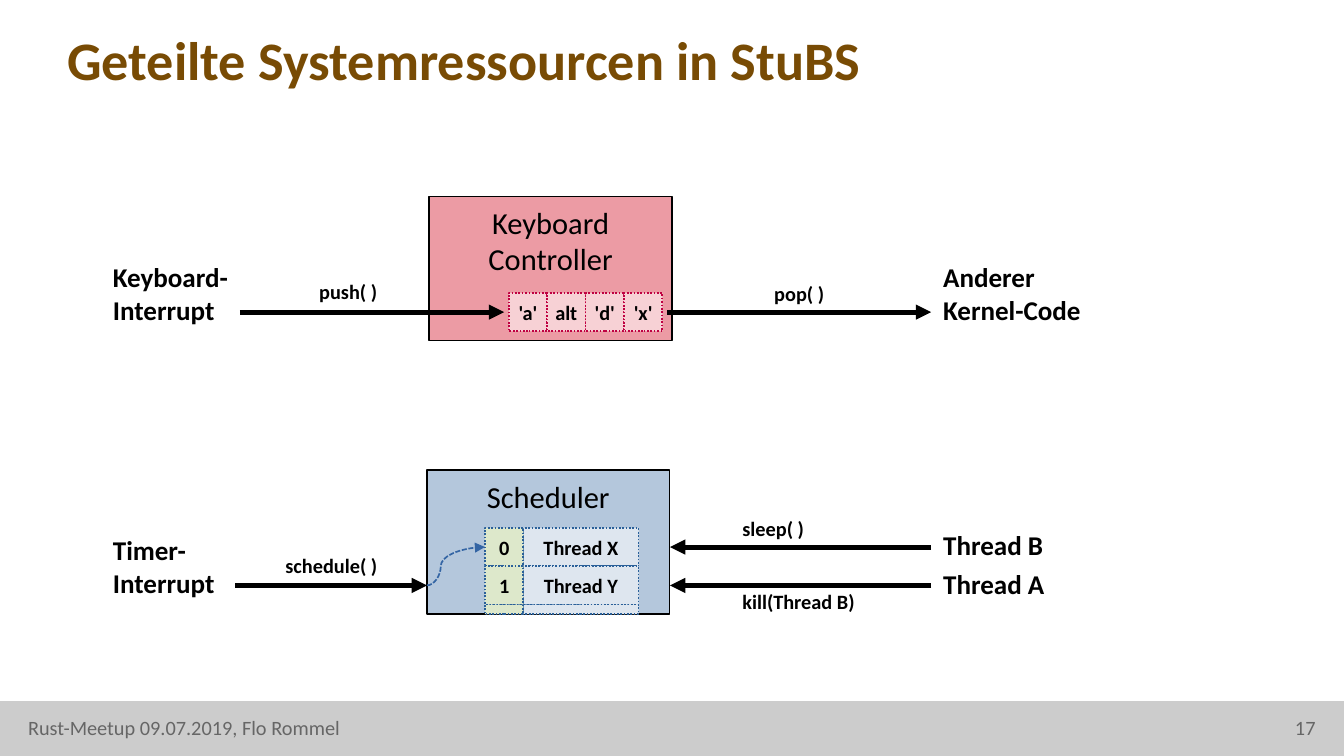
from lxml.etree import SubElement
from pptx import Presentation
from pptx.dml.color import RGBColor
from pptx.enum.dml import MSO_LINE
from pptx.enum.shapes import MSO_CONNECTOR, MSO_SHAPE
from pptx.enum.text import MSO_ANCHOR, PP_ALIGN
from pptx.oxml.ns import qn
from pptx.util import Inches, Pt

WIDTH, HEIGHT = 11.02, 6.2
UNIT = WIDTH / 35  # square grid: one column equals one row
BOTTOM = HEIGHT / UNIT
COLOURS = {
    "title": "784B04", "text": "000000", "footer": "666666", "bar": "CCCCCC",
    "keyboard": "EC9BA4", "key": "F7D1D5", "key line": "BF0041",
    "scheduler": "B4C7DC", "thread": "DEE6EF", "index": "DDE8CB",
    "thread line": "2A6099", "curve": "3465A4",
}
TITLE = {"size": Pt(32), "bold": True}
ACTOR = {"size": Pt(16), "bold": True}
SMALL = {"size": Pt(12), "bold": True}
MODULE = {"size": Pt(18), "bold": False}
FOOTER = {"size": Pt(12), "bold": False}


class Diagram:
    """Draws on one slide with positions in grid columns and rows."""

    def __init__(self, slide, font="Calibri"):
        self.slide, self.font = slide, font

    def lengths(self, *values):
        return [Inches(value * UNIT) for value in values]

    def colour(self, name):
        return RGBColor.from_string(COLOURS[name])

    def fill_text(self, shape, text, style, colour="text", align=PP_ALIGN.LEFT,
                  anchor=MSO_ANCHOR.TOP, inset=(0, 0)):
        frame = shape.text_frame
        side, top = map(Inches, inset)
        frame_format = {"word_wrap": True, "vertical_anchor": anchor,
                        "margin_left": side, "margin_right": side,
                        "margin_top": top, "margin_bottom": top}
        for name, value in frame_format.items():
            setattr(frame, name, value)
        for number, line in enumerate(text.split("\n")):
            paragraph = frame.add_paragraph() if number else frame.paragraphs[0]
            paragraph.alignment = align
            run = paragraph.add_run()
            run.text = line
            for name, value in {"name": self.font, **style}.items():
                setattr(run.font, name, value)
            run.font.color.rgb = self.colour(colour)

    def text(self, place, text, style, **options):
        box = self.slide.shapes.add_textbox(*self.lengths(*place))
        self.fill_text(box, text, style, **options)

    def label(self, place, text, style):
        self.text(place, text, style, inset=(0.1, 0.05))

    def box(self, place, fill, line=None, dash=None, text="", style=None,
            anchor=MSO_ANCHOR.MIDDLE):
        shape = self.slide.shapes.add_shape(MSO_SHAPE.RECTANGLE, *self.lengths(*place))
        shape.shadow.inherit = False
        shape.fill.solid()
        shape.fill.fore_color.rgb = self.colour(fill)
        if line:
            shape.line.color.rgb = self.colour(line)
            shape.line.width = Pt(1)
            shape.line.dash_style = dash
        else:
            shape.line.fill.background()
        if text:
            self.fill_text(shape, text, style, align=PP_ALIGN.CENTER,
                           anchor=anchor, inset=(0, 0.06))

    def cell(self, place, fill, line, text=""):
        self.box(place, fill, line, MSO_LINE.ROUND_DOT, text, SMALL)

    def arrow(self, start, end, kind=MSO_CONNECTOR.STRAIGHT, colour="text",
              width=3, dash=None):
        connector = self.slide.shapes.add_connector(kind, *self.lengths(*start, *end))
        connector.line.color.rgb = self.colour(colour)
        connector.line.width = Pt(width)
        connector.line.dash_style = dash
        properties = connector._element.spPr
        SubElement(properties.find(qn("a:ln")), qn("a:tailEnd"), type="triangle")
        SubElement(properties, qn("a:effectLst"))
        return connector

    def curve(self, start, end, bend):
        connector = self.arrow(start, end, MSO_CONNECTOR.CURVE, "curve", 1,
                               MSO_LINE.SQUARE_DOT)
        geometry = connector._element.spPr.find(qn("a:prstGeom"))
        adjustments = geometry.find(qn("a:avLst"))
        if adjustments is None:
            adjustments = SubElement(geometry, qn("a:avLst"))
        SubElement(adjustments, qn("a:gd"), name="adj1", fmla=f"val {bend}")


presentation = Presentation()
presentation.slide_width, presentation.slide_height = Inches(WIDTH), Inches(HEIGHT)
diagram = Diagram(presentation.slides.add_slide(presentation.slide_layouts[6]))

# Title and footer
bar_top = 18.26
diagram.box((0, bar_top, 35, BOTTOM - bar_top), "bar")
diagram.text((1.75, 0.54, 30.25, 1.97), "Geteilte Systemressourcen in StuBS", TITLE,
             colour="title", anchor=MSO_ANCHOR.MIDDLE)
diagram.text((0.73, 18.64, 25, 0.8), "Rust-Meetup 09.07.2019, Flo Rommel", FOOTER,
             colour="footer")
diagram.text((26.1, 18.64, 8.16, 0.8), "17", FOOTER, colour="footer",
             align=PP_ALIGN.RIGHT)

# Modules
module_size = (6.32, 3.75)
for left, top, name, fill in [(11.18, 5.12, "Keyboard\nController", "keyboard"),
                              (11.12, 12.25, "Scheduler", "scheduler")]:
    diagram.box((left, top, *module_size), fill, "text", text=name, style=MODULE,
                anchor=MSO_ANCHOR.TOP)

# Keyboard buffer
for column, key in enumerate(["'a'", "alt", "'d'", "'x'"]):
    diagram.cell((13.25 + column, 7.63, 1, 1), "key", "key line", key)

# Thread list, the last row cut off by the module's edge
for row, (index, thread) in enumerate([("0", "Thread X"), ("1", "Thread Y"), ("", "")]):
    top, height = 13.75 + row, 1 if thread else 0.25
    diagram.cell((13.63, top, 3, height), "thread", "thread line", thread)
    diagram.cell((12.63, top, 1, height), "index", "thread line", index)

# Calls between actors and modules
key_row, first_row, second_row = 8.13, 14.25, 15.25
actor_left = 24.25
for start, end, row in [(6.25, 13.13, key_row), (17.38, actor_left, key_row),
                        (6.13, 11.12, second_row),
                        (actor_left, 17.45, first_row),
                        (actor_left, 17.45, second_row)]:
    diagram.arrow((start, row), (end, row))
diagram.curve((11.12, second_row), (12.63, first_row), 23900)

# Actors
for left, top, height, name in [(2.63, 6.63, 2.22, "Keyboard-\nInterrupt"),
                                (actor_left, 6.63, 2.22, "Anderer\nKernel-Code"),
                                (2.63, 13.75, 2.22, "Timer-\nInterrupt"),
                                (actor_left, first_row - 0.63, 1.27, "Thread B"),
                                (actor_left, second_row - 0.63, 1.27, "Thread A")]:
    diagram.label((left, top, 4.9, height), name, ACTOR)

# Call names
for left, top, name in [(8, 7.12, "push( )"), (19.85, 7.18, "pop( )"),
                        (7.12, 14.25, "schedule( )"), (19.02, 13.3, "sleep( )"),
                        (19.02, 15.18, "kill(Thread B)")]:
    diagram.label((left, top, 4.25, 1.05), name, SMALL)

presentation.save("out.pptx")
